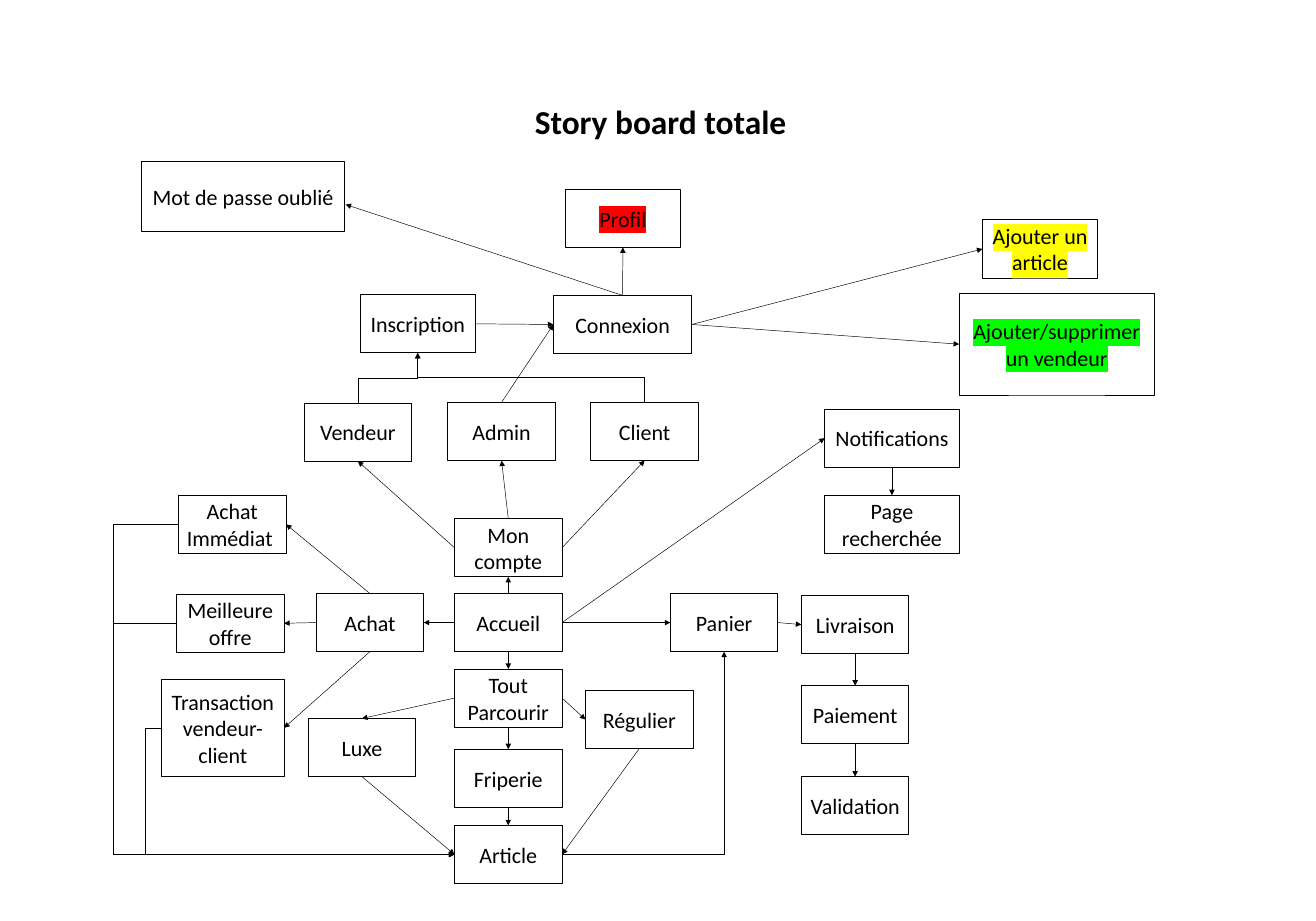
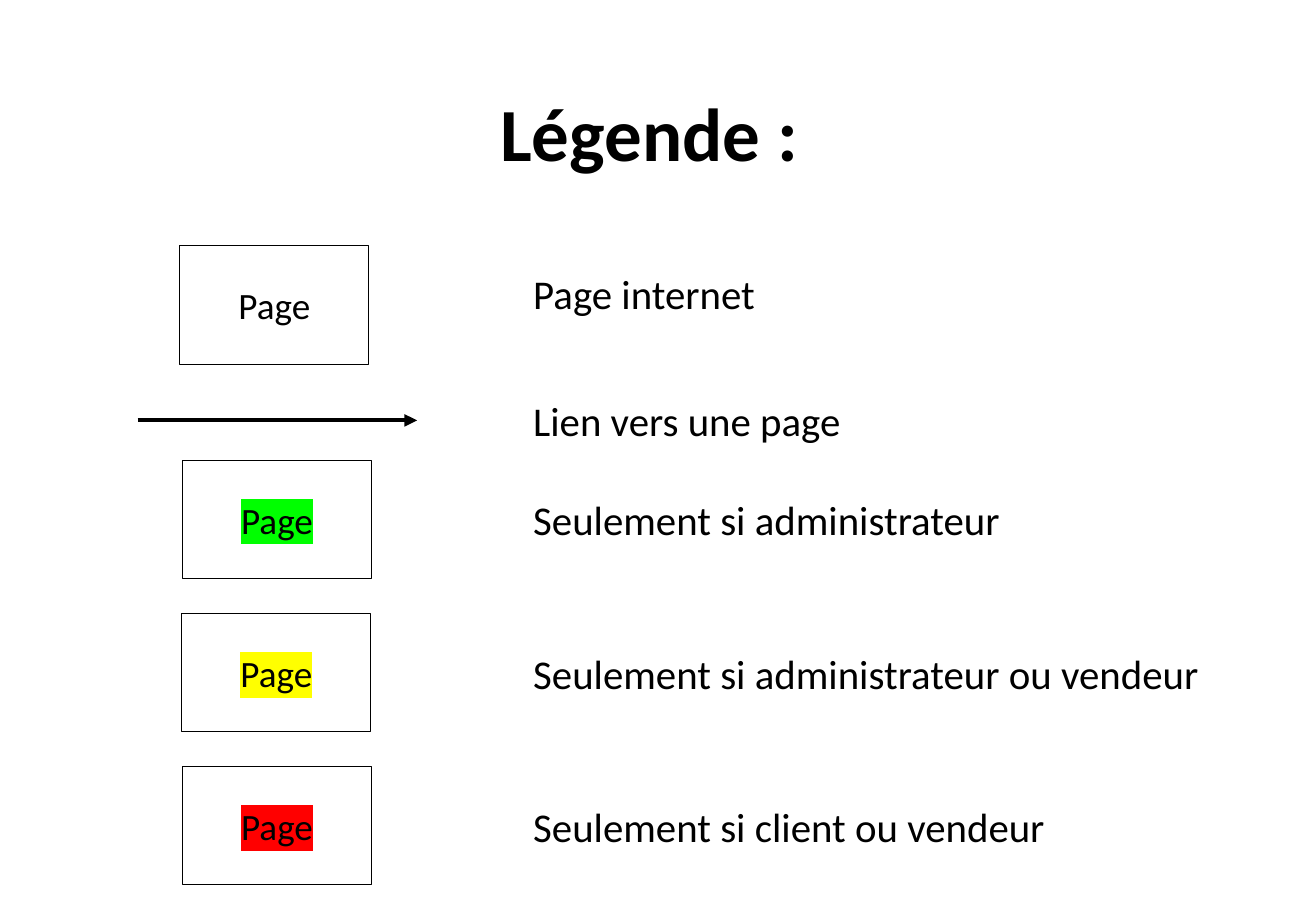
import lxml.etree
import pptx
import pptx.dml.color
import pptx.enum.shapes
import pptx.enum.text
import pptx.oxml.ns
import pptx.util

Inches = pptx.util.Inches
qn = pptx.oxml.ns.qn
CENTER = pptx.enum.text.PP_ALIGN.CENTER
LEFT = pptx.enum.text.PP_ALIGN.LEFT
MIDDLE = pptx.enum.text.MSO_ANCHOR.MIDDLE
TOP = pptx.enum.text.MSO_ANCHOR.TOP
STRAIGHT = pptx.enum.shapes.MSO_CONNECTOR.STRAIGHT
ELBOW = pptx.enum.shapes.MSO_CONNECTOR.ELBOW

FONT = "Calibri"
COLORS = {"ink": "000000", "paper": "FFFFFF", "admin": "00FF00",
          "seller": "FFFF00", "client": "FF0000"}
INK = pptx.dml.color.RGBColor.from_string(COLORS["ink"])
PAPER = pptx.dml.color.RGBColor.from_string(COLORS["paper"])


def add_text(slide, text, box, size=23.7, framed=False, bold=False, align=CENTER,
             anchor=MIDDLE, spacing=None, highlight=None):
    """Write text in a box, with a white black-edged frame if framed."""
    place = [Inches(length) for length in box]
    if framed:
        holder = slide.shapes.add_shape(pptx.enum.shapes.MSO_SHAPE.RECTANGLE, *place)
        holder.shadow.inherit = False
        holder.fill.solid()
        holder.fill.fore_color.rgb = PAPER
        holder.line.color.rgb = INK
        holder.line.width = pptx.util.Pt(1)
    else:
        holder = slide.shapes.add_textbox(*place)
    frame = holder.text_frame
    frame.word_wrap = True
    frame.vertical_anchor = anchor
    paragraph = frame.paragraphs[0]
    paragraph.alignment = align
    paragraph.line_spacing = spacing
    run = paragraph.add_run()
    run.text = text
    run.font.size = pptx.util.Pt(size)
    run.font.bold = bold
    run.font.color.rgb = INK
    if highlight:
        marker = lxml.etree.SubElement(run.font._element, qn("a:highlight"))
        lxml.etree.SubElement(marker, qn("a:srgbClr"), val=COLORS[highlight])
    run.font.name = FONT
    return holder


def add_arrow(slide, start, end, kind=STRAIGHT, width=0.5):
    """Draw an arrow from start to end."""
    arrow = slide.shapes.add_connector(kind, *[Inches(v) for v in (*start, *end)])
    arrow.line.color.rgb = INK
    arrow.line.width = pptx.util.Pt(width)
    lxml.etree.SubElement(arrow.line._get_or_add_ln(), qn("a:tailEnd"), type="triangle")
    lxml.etree.SubElement(arrow._element.spPr, qn("a:effectLst"))
    return arrow


deck = pptx.Presentation()
deck.slide_width = Inches(19.69)
deck.slide_height = Inches(13.78)
blank = deck.slide_layouts[6]

# Storyboard: pages as (left, top[, width, height[, highlight]])
storyboard = deck.slides.add_slide(blank)
add_text(storyboard, "Story board totale", (7.23, 1.47, 5.31, 0.71), size=36,
         bold=True, anchor=TOP)

PAGE_W, PAGE_H = 1.61, 0.87
MAIN_X, DELIVERY_X, NOTICE_X = 6.8, 11.99, 12.34
pages = {
    "Accueil": (MAIN_X, 8.88),
    "Mon compte": (MAIN_X, 7.76),
    "Tout Parcourir": (MAIN_X, 10.01),
    "Friperie": (MAIN_X, 11.21),
    "Article": (MAIN_X, 12.35),
    "Luxe": (4.61, 10.75),
    "Régulier": (8.76, 10.33),
    "Panier": (10.03, 8.88),
    "Livraison": (DELIVERY_X, 8.91),
    "Paiement": (DELIVERY_X, 10.26),
    "Validation": (DELIVERY_X, 11.62),
    "Notifications": (NOTICE_X, 6.12, 2.01, PAGE_H),
    "Page recherchée": (NOTICE_X, 7.41, 2.01, PAGE_H),
    "Achat": (4.73, 8.88),
    "Achat Immédiat ": (2.67, 7.41),
    "Meilleure offre": (2.64, 8.89),
    "Transaction vendeur-client": (2.42, 10.16, 1.83, 1.46),
    "Vendeur": (4.55, 6.03),
    "Admin": (6.7, 6.02),
    "Client": (8.84, 6.02),
    "Inscription": (5.39, 4.41, 1.72, PAGE_H),
    "Connexion": (8.28, 4.42, 2.07, PAGE_H),
    "Profil": (8.46, 2.83, 1.72, PAGE_H, "client"),
    "Ajouter un article": (14.7, 3.29, 1.72, PAGE_H, "seller"),
    "Ajouter/supprimer un vendeur": (14.35, 4.39, 2.92, 1.52, "admin"),
    "Mot de passe oublié": (2.11, 2.42, 3.05, 1.04),
}
SITES = ("top", "left", "bottom", "right")  # connection sites 0 to 3 of a rectangle
boxes, points = {}, {}
for name, (left, top, *rest) in pages.items():
    w, h, highlight = (*rest, None)[:3] if rest else (PAGE_W, PAGE_H, None)
    boxes[name] = add_text(storyboard, name, (left, top, w, h), framed=True,
                           highlight=highlight)
    points[name] = {"top": (left + w / 2, top), "left": (left, top + h / 2),
                    "bottom": (left + w / 2, top + h), "right": (left + w, top + h / 2)}

# Straight links, glued to both pages
links = [
    ("Accueil", "right", "Panier", "left"),
    ("Accueil", "top", "Mon compte", "bottom"),
    ("Accueil", "bottom", "Tout Parcourir", "top"),
    ("Accueil", "left", "Achat", "right"),
    ("Accueil", "right", "Notifications", "left"),
    ("Notifications", "bottom", "Page recherchée", "top"),
    ("Panier", "right", "Livraison", "left"),
    ("Livraison", "bottom", "Paiement", "top"),
    ("Paiement", "bottom", "Validation", "top"),
    ("Tout Parcourir", "right", "Régulier", "left"),
    ("Tout Parcourir", "bottom", "Friperie", "top"),
    ("Tout Parcourir", "left", "Luxe", "top"),
    ("Friperie", "bottom", "Article", "top"),
    ("Luxe", "bottom", "Article", "left"),
    ("Régulier", "bottom", "Article", "right"),
    ("Achat", "top", "Achat Immédiat ", "right"),
    ("Achat", "left", "Meilleure offre", "right"),
    ("Achat", "bottom", "Transaction vendeur-client", "right"),
    ("Mon compte", "left", "Vendeur", "bottom"),
    ("Mon compte", "top", "Admin", "bottom"),
    ("Mon compte", "right", "Client", "bottom"),
    ("Admin", "top", "Connexion", "left"),
    ("Inscription", "right", "Connexion", "left"),
    ("Connexion", "right", "Ajouter/supprimer un vendeur", "left"),
    ("Connexion", "right", "Ajouter un article", "left"),
    ("Connexion", "top", "Profil", "bottom"),
]
for source, source_side, target, target_side in links:
    link = add_arrow(storyboard, points[source][source_side], points[target][target_side])
    link.begin_connect(boxes[source], SITES.index(source_side))
    link.end_connect(boxes[target], SITES.index(target_side))
add_arrow(storyboard, points["Connexion"]["top"], (5.17, 3.06))

# Purchases run down a trunk on the left to the article
article = points["Article"]["left"]
for purchase, trunk in (("Achat Immédiat ", 1.69), ("Meilleure offre", 1.69),
                        ("Transaction vendeur-client", 2.17)):
    start = points[purchase]["left"]
    route = add_arrow(storyboard, start, article, kind=ELBOW)
    bend = round((trunk - start[0]) / (article[0] - start[0]) * 100000)
    adjustments = route._element.spPr.find(qn("a:prstGeom")).find(qn("a:avLst"))
    lxml.etree.SubElement(adjustments, qn("a:gd"), name="adj1", fmla=f"val {bend}")

# The article goes to the basket round a single corner
to_basket = add_arrow(storyboard, points["Article"]["right"], points["Panier"]["bottom"],
                      kind=ELBOW)
to_basket._element.spPr.find(qn("a:prstGeom")).set("prst", "bentConnector2")

# Sellers and clients rise to the sign-up page: elbows turned a quarter to the left
end_x, end_y = points["Inscription"]["bottom"]
for role in ("Vendeur", "Client"):
    x, y = points[role]["top"]
    mid_x, mid_y = (x + end_x) / 2, (y + end_y) / 2
    half_run, half_rise = (end_x - x) / 2, (y - end_y) / 2
    route = add_arrow(storyboard, (mid_x - half_rise, mid_y - half_run),
                      (mid_x + half_rise, mid_y + half_run), kind=ELBOW)
    route._element.spPr.find(qn("a:xfrm")).set("rot", str(270 * 60000))

# Legend
legend = deck.slides.add_slide(blank)
add_text(legend, "Légende : ", (1.35, 0.73, 16.98, 2.66), size=80.8, bold=True,
         spacing=0.9)
for left, top, highlight in ((2.69, 3.68, None), (2.73, 6.89, "admin"),
                             (2.72, 9.18, "seller"), (2.73, 11.47, "client")):
    add_text(legend, "Page", (left, top, 2.83, 1.77), size=40, framed=True,
             highlight=highlight)
add_arrow(legend, (2.06, 6.29), (6.24, 6.29), width=4.5)
for meaning, top in (("Page internet", 3.97), ("Lien vers une page", 5.87),
                     ("Seulement si administrateur", 7.35),
                     ("Seulement si administrateur ou vendeur", 9.65),
                     ("Seulement si client ou vendeur", 11.94)):
    add_text(legend, meaning, (7.88, top, 10.45, 0.84), size=44, align=LEFT, anchor=TOP)

deck.save("out.pptx")
